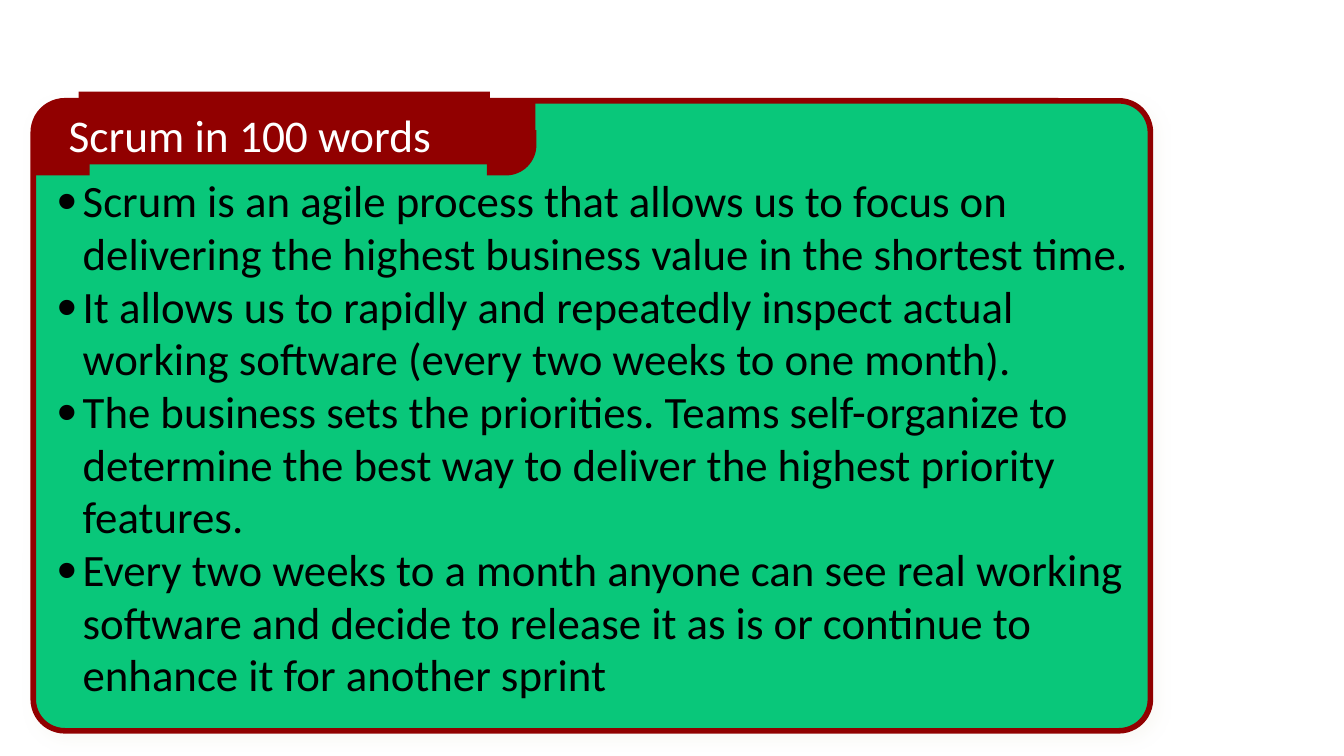
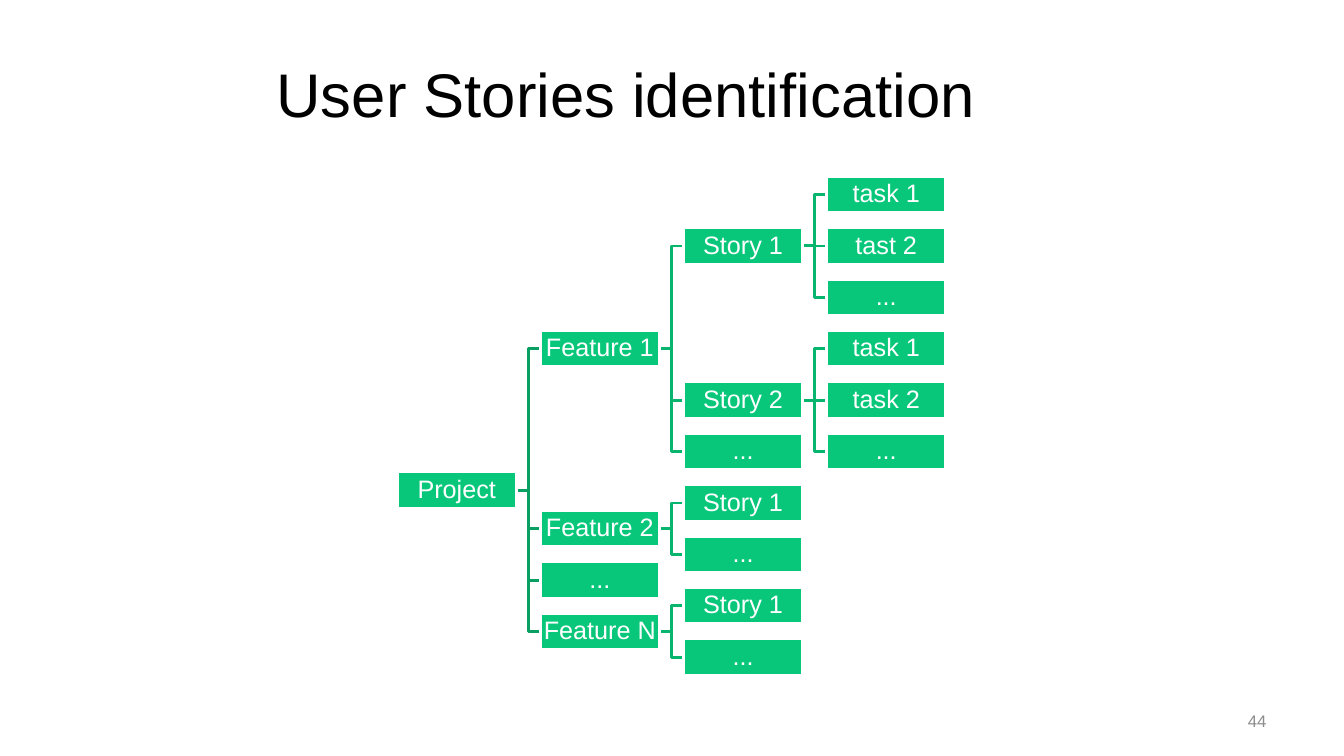
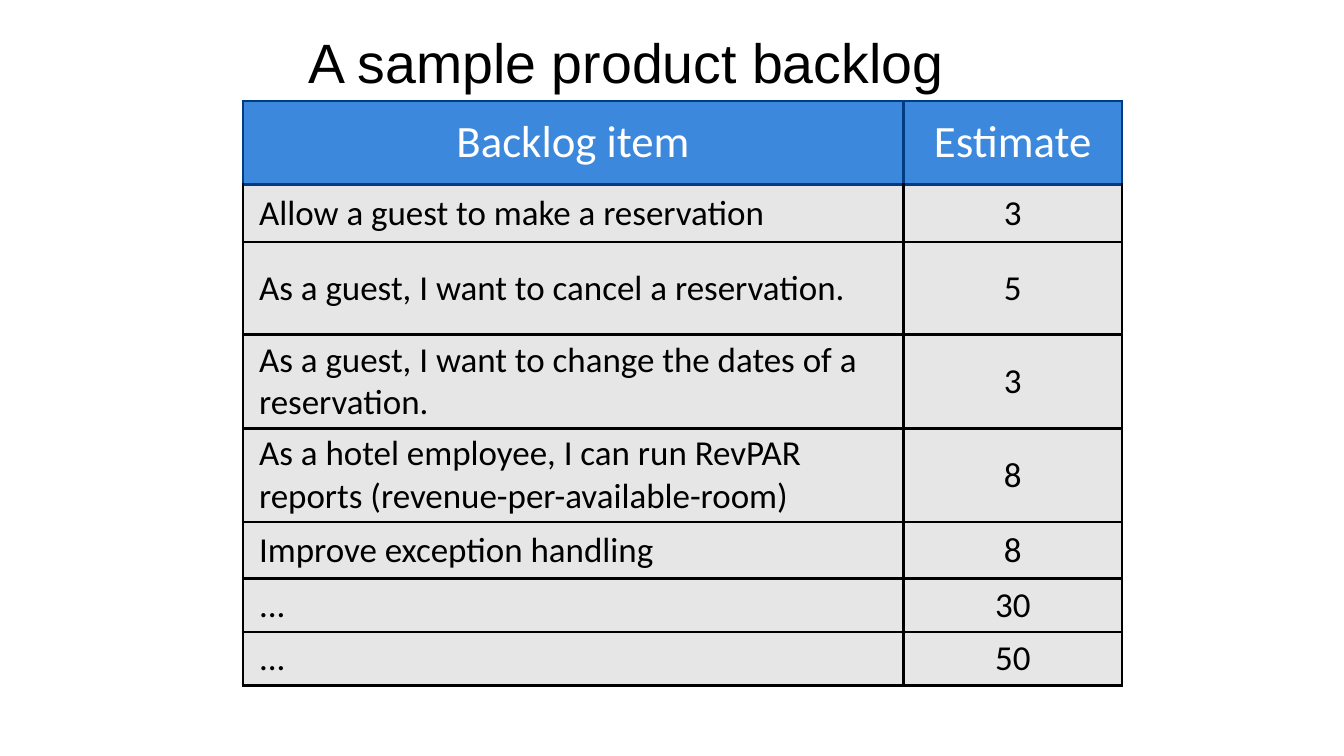
from dataclasses import dataclass
from math import cos, pi, sin

from lxml import etree
from pptx import Presentation
from pptx.dml.color import RGBColor
from pptx.enum.shapes import MSO_CONNECTOR, MSO_SHAPE
from pptx.enum.text import MSO_ANCHOR, MSO_AUTO_SIZE, PP_ALIGN
from pptx.oxml.ns import qn
from pptx.util import Inches, Pt

WHITE = RGBColor(0xFF, 0xFF, 0xFF)
BLACK = RGBColor(0x00, 0x00, 0x00)
GREEN = RGBColor(0x09, 0xC7, 0x7A)
ROOT_LINK = RGBColor(0x07, 0x9F, 0x62)
BRANCH_LINK = RGBColor(0x08, 0xB5, 0x6F)
DARK_RED = RGBColor(0x91, 0x00, 0x00)
SHADOW = RGBColor(0xEE, 0xEC, 0xE1)
GREY = RGBColor(0x8C, 0x8C, 0x8C)
HEADER_BLUE = RGBColor(0x3C, 0x88, 0xDC)
HEADER_BORDER = RGBColor(0x00, 0x3C, 0x83)
CELL_GREY = RGBColor(0xE6, 0xE6, 0xE6)

LEFT, CENTER, RIGHT = PP_ALIGN.LEFT, PP_ALIGN.CENTER, PP_ALIGN.RIGHT
TOP, MIDDLE = MSO_ANCHOR.TOP, MSO_ANCHOR.MIDDLE
NO_AUTOFIT = MSO_AUTO_SIZE.NONE
RECTANGLE, ROUNDED = MSO_SHAPE.RECTANGLE, MSO_SHAPE.ROUNDED_RECTANGLE
STRAIGHT, ELBOW = MSO_CONNECTOR.STRAIGHT, MSO_CONNECTOR.ELBOW

SCRUM_POINTS = [
    "Scrum is an agile process that allows us to focus on delivering the highest business value in the shortest time.",
    "It allows us to rapidly and repeatedly inspect actual working software (every two weeks to one month).",
    "The business sets the priorities. Teams self-organize to determine the best way to deliver the highest priority features.",
    "Every two weeks to a month anyone can see real working software and decide to release it as is or continue to enhance it for another sprint",
]


@dataclass(frozen=True)
class Box:
    left: float
    top: float
    width: float
    height: float

    def lengths(self):
        return [Inches(value) for value in (self.left, self.top, self.width, self.height)]


@dataclass(frozen=True)
class Node:
    text: str
    leaf_row: int = 0
    children: tuple["Node", ...] = ()
    own_row: float | None = None

    @property
    def row(self) -> float:
        if self.own_row is not None:
            return self.own_row
        if self.children:
            return (self.children[0].row + self.children[-1].row) / 2
        return self.leaf_row


@dataclass(frozen=True)
class BacklogRow:
    item: str
    estimate: str
    height: float


PROJECT = Node("Project", children=(
    Node("Feature 1", children=(
        Node("Story 1", children=(Node("task 1", 0), Node("tast 2", 1), Node("...", 2))),
        Node("Story 2", children=(Node("task 1", 3), Node("task 2", 4), Node("...", 5))),
        Node("...", 5),
    )),
    Node("Feature 2", children=(Node("Story 1", 6), Node("...", 7))),
    Node("...", own_row=7.5),
    Node("Feature N", children=(Node("Story 1", 8), Node("...", 9))),
))

BACKLOG = [
    BacklogRow("Backlog item", "Estimate", 0.83),
    BacklogRow("Allow a guest to make a reservation", "3", 0.57),
    BacklogRow("As a guest, I want to cancel a reservation.", "5", 0.92),
    BacklogRow("As a guest, I want to change the dates of a reservation.", "3", 0.93),
    BacklogRow("As a hotel employee, I can run RevPAR reports (revenue-per-available-room)", "8", 0.93),
    BacklogRow("Improve exception handling", "8", 0.56),
    BacklogRow("...", "30", 0.53),
    BacklogRow("...", "50", 0.53),
]


def add_bullet(paragraph):
    properties = paragraph._p.get_or_add_pPr()
    properties.set("marL", str(Inches(0.25)))
    properties.set("indent", str(-Inches(0.25)))
    etree.SubElement(properties, qn("a:buSzPct")).set("val", "125000")
    etree.SubElement(properties, qn("a:buFont")).set("typeface", "Arial")
    etree.SubElement(properties, qn("a:buChar")).set("char", "•")


def write_text(frame, *texts: str, size: float, color: RGBColor = BLACK, font: str = "Arial",
               align=LEFT, bulleted: bool = False, line_spacing: float = 1.0):
    for index, text in enumerate(texts):
        paragraph = frame.paragraphs[0] if index == 0 else frame.add_paragraph()
        if bulleted:
            add_bullet(paragraph)
        paragraph.alignment = align
        paragraph.line_spacing = line_spacing
        run = paragraph.add_run()
        run.text = text
        run.font.size = Pt(size)
        run.font.name = font
        run.font.color.rgb = color


def set_frame(frame, anchor, side: float, vertical: float):
    frame.word_wrap = True
    frame.auto_size = NO_AUTOFIT
    frame.vertical_anchor = anchor
    frame.margin_left = frame.margin_right = Inches(side)
    frame.margin_top = frame.margin_bottom = Inches(vertical)


def add_text_box(slide, box: Box, *texts: str, side: float = 0.1, vertical: float = 0.05, **text_format):
    frame = slide.shapes.add_textbox(*box.lengths()).text_frame
    set_frame(frame, MIDDLE, side, vertical)
    write_text(frame, *texts, **text_format)


def set_title(slide, box: Box, text: str, anchor=MIDDLE, side: float = 0.1, **text_format):
    title = slide.shapes.title
    title.left, title.top, title.width, title.height = box.lengths()
    set_frame(title.text_frame, anchor, side, 0.05)
    write_text(title.text_frame, text, **text_format)


def paint(shape, fill: RGBColor, line: RGBColor | None = None, line_width: float = 0):
    shape.shadow.inherit = False
    shape.fill.solid()
    shape.fill.fore_color.rgb = fill
    if line is None:
        shape.line.fill.background()
    else:
        shape.line.color.rgb = line
        shape.line.width = Pt(line_width)


def add_panel(slide):
    panel = slide.shapes.add_shape(ROUNDED, *Box(0.33, 1, 11.08, 6.25).lengths())
    panel.adjustments[0] = 0.05
    paint(panel, GREEN, DARK_RED, 4)
    effects = panel._element.spPr.find(qn("a:effectLst"))
    shadow = etree.SubElement(effects, qn("a:outerShdw"), blurRad=str(Pt(9)), dist=str(Pt(5)), dir="2700000")
    color = etree.SubElement(shadow, qn("a:srgbClr"), val=str(SHADOW))
    etree.SubElement(color, qn("a:alpha"), val="30000")


def add_tab_corner(slide, corner_x: float, corner_y: float, direction: int):
    width, height, radius, steps = 0.49, 0.45, 0.3, 16
    angles = [pi / 2 * step / steps for step in range(steps + 1)]
    offsets = [(radius * (1 - cos(angle)), radius * (1 - sin(angle))) for angle in angles]
    offsets += [(width, 0), (width, height), (0, height)]
    points = [(Inches(corner_x + direction * x), Inches(corner_y + direction * y)) for x, y in offsets]
    builder = slide.shapes.build_freeform(*points[0], scale=1.0)
    builder.add_line_segments(points[1:], close=True)
    paint(builder.convert_to_shape(), DARK_RED)


def build_scrum_slide(slide):
    add_panel(slide)
    add_text_box(slide, Box(0.57, 1.76, 10.68, 5.19), *SCRUM_POINTS, side=0, vertical=0,
                 size=32, font="Calibri", bulleted=True, line_spacing=0.98)
    for box in (Box(0.78, 0.91, 4.08, 0.72), Box(0.32, 1.43, 0.57, 0.31), Box(4.74, 1, 0.57, 0.33)):
        paint(slide.shapes.add_shape(RECTANGLE, *box.lengths()), DARK_RED)
    add_tab_corner(slide, 0.32, 0.99, 1)
    add_tab_corner(slide, 5.32, 1.74, -1)
    set_title(slide, Box(0.63, 1.01, 4.29, 0.69), "Scrum in 100 words", anchor=TOP, side=0.05,
              size=32.4, font="Calibri", color=WHITE)
    slide.shapes._spTree.append(slide.shapes.title._element)


def add_link(slide, parent, child, color: RGBColor):
    kind = STRAIGHT if parent.top == child.top else ELBOW
    link = slide.shapes.add_connector(kind, 0, 0, 0, 0)
    link.begin_connect(parent, 3)
    link.end_connect(child, 1)
    link.line.color.rgb = color
    link.line.width = Pt(2)
    etree.SubElement(link._element.spPr, qn("a:effectLst"))
    slide.shapes._spTree.insert(2, link._element)


def add_node(slide, node: Node, depth: int = 0):
    box = Box(3.94 + 1.42 * depth, 1.75 + 0.51 * node.row, 1.18, 0.36)
    shape = slide.shapes.add_shape(RECTANGLE, *box.lengths())
    paint(shape, GREEN, WHITE, 2)
    set_frame(shape.text_frame, MIDDLE, 0.01, 0.01)
    write_text(shape.text_frame, node.text, size=18, color=WHITE, align=CENTER, line_spacing=0.9)
    for child in node.children:
        child_shape = add_node(slide, child, depth + 1)
        add_link(slide, shape, child_shape, BRANCH_LINK if depth else ROOT_LINK)
    return shape


def build_stories_slide(slide):
    set_title(slide, Box(0.67, 0.3, 11.08, 1.25), "User Stories identification", size=44, align=CENTER)
    add_text_box(slide, Box(9.55, 6.95, 3.11, 0.4), "44", size=12, color=GREY, align=RIGHT)
    add_node(slide, PROJECT)


def set_border(cell, side: str, color: RGBColor):
    line = etree.SubElement(cell._tc.get_or_add_tcPr(), qn(f"a:ln{side}"), w=str(Pt(2)))
    fill = etree.SubElement(line, qn("a:solidFill"))
    etree.SubElement(fill, qn("a:srgbClr"), val=str(color))


def format_cell(cell, text: str, row: int, column: int):
    is_header = row == 0
    is_item = column == 0 and not is_header
    for side in "LRTB":
        is_blue = is_header or (row == 1 and side == "T")
        set_border(cell, side, HEADER_BORDER if is_blue else BLACK)
    cell.fill.solid()
    cell.fill.fore_color.rgb = HEADER_BLUE if is_header else CELL_GREY
    cell.vertical_anchor = MIDDLE
    cell.margin_left = Inches(0.16 if is_item else 0.04)
    cell.margin_right = cell.margin_top = cell.margin_bottom = Inches(0.04)
    write_text(cell.text_frame, text, size=32 if is_header else 25, font="Calibri",
               color=WHITE if is_header else BLACK, align=LEFT if is_item else CENTER)


def build_backlog_slide(slide):
    set_title(slide, Box(0.67, 0.3, 11.08, 0.62), "A sample product backlog", size=39.6, align=CENTER)
    table = slide.shapes.add_table(len(BACKLOG), 2, *Box(2.41, 1, 8.72, 5.8).lengths()).table
    table.first_row = table.horz_banding = False
    for column, width in zip(table.columns, (6.55, 2.17)):
        column.width = Inches(width)
    for row, entry in enumerate(BACKLOG):
        table.rows[row].height = Inches(entry.height)
        for column, text in enumerate((entry.item, entry.estimate)):
            format_cell(table.cell(row, column), text, row, column)


def main():
    presentation = Presentation()
    presentation.slide_width, presentation.slide_height = Inches(13.33), Inches(7.5)
    title_only = presentation.slide_layouts[5]
    for build in (build_scrum_slide, build_stories_slide, build_backlog_slide):
        build(presentation.slides.add_slide(title_only))
    presentation.save("out.pptx")


if __name__ == "__main__":
    main()
